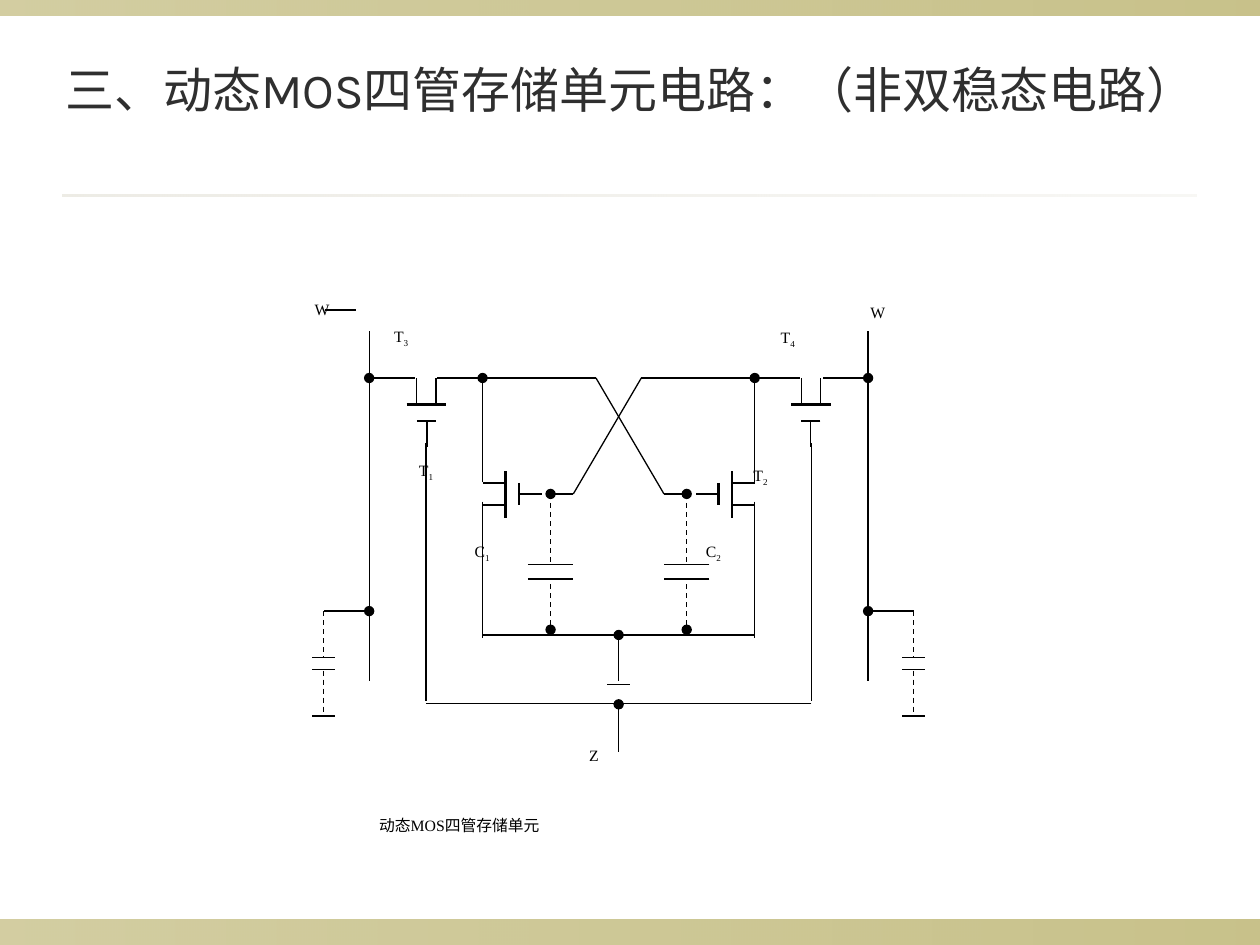
from lxml import etree
from pptx import Presentation
from pptx.dml.color import RGBColor
from pptx.enum.dml import MSO_LINE
from pptx.enum.shapes import MSO_CONNECTOR, MSO_SHAPE
from pptx.enum.text import MSO_ANCHOR, PP_ALIGN
from pptx.oxml.ns import qn
from pptx.util import Inches, Pt

STRAIGHT, RECTANGLE, DASH = MSO_CONNECTOR.STRAIGHT, MSO_SHAPE.RECTANGLE, MSO_LINE.DASH
TOP, CENTER, JUSTIFY = MSO_ANCHOR.TOP, PP_ALIGN.CENTER, PP_ALIGN.JUSTIFY

THEME = {
    "title": {"font": "Karla", "size": 28, "color": "2F2F2F"},
    "label": {"font": "Times New Roman", "size": 9, "color": "000000"},
    "wire": "000000", "thin": 0.75, "thick": 1.5, "subscript": -25000,
    "band": "918415", "rule": "DCD9CC",
}
WIDTH, HEIGHT = 10, 7.5

# Circuit grid: columns count from the axis of symmetry, rows from the top wire
AXIS, TOP_WIRE = 4.91, 3
COLUMN, ROW = 0.09, 0.37 / 4

# Content
TITLE = "三、动态MOS四管存储单元电路：（非双稳态电路）"
# left, top, width, height, colour key, opacity at both ends
BANDS = [
    (0, 7.3, WIDTH, 0.2, "band", (40, 50)),
    (0, 0, WIDTH, 0.12, "band", (40, 50)),
    (0.5, 1.54, 9, 0.02, "rule", (50, 20)),
]
# column, row, letter, subscript, width and height in cells
LABELS = [
    (-27.9, -7.24, "W", "", 7.9, 5),
    (21.1, -7.03, "W", "", 7.9, 5),
    (-20.9, -4.97, "T", "3", 7.9, 7),
    (13.2, -4.86, "T", "4", 7.9, 7),
    (-18.7, 6.6, "T", "1", 7.9, 7),
    (10.8, 7.03, "T", "2", 7.9, 7),
    (-13.8, 13.5, "C", "1", 7.9, 7),
    (6.6, 13.55, "C", "2", 7.9, 7),
    (-3.7, 31, "Z", "", 7.9, 5),
    (-22.2, 37, "动态MOS四管存储单元", "", 44.2, 6),
]
# Wires of the left half: start column, row, end column, row, style.
# A dot sits at the start of the wire.
HALF_WIRES = [
    # Storage transistor
    (-10, 8, -10, 12, "thick"),
    (-8.8, 9, -8.8, 10.9, "thick"),
    (-8.8, 9.95, -6.8, 9.95, ""),
    (-12, 9, -10, 9, ""),
    (-12, 10.9, -10, 10.9, ""),
    # Access transistor
    (-18.7, 2.27, -15.2, 2.27, "thick"),
    (-17.8, 3.7, -16.1, 3.7, "thick"),
    (-16.9, 3.7, -16.9, 5.95, ""),
    (-17.8, 0, -17.8, 2.27, ""),
    (-16.1, 0, -16.1, 2.27, ""),
    # Cross-coupled nodes
    (-12, 8.9, -12, 0, ""),
    (-12, 0, -16, 0, "dot"),
    (-6, 9.95, -4, 9.95, "dot"),
    (-12, 0, -2, 0, ""),
    (-4, 9.95, 2, 0, ""),
    # Gate capacitor
    (-6, 9.95, -6, 16, "dash"),
    (-8, 16, -4, 16, ""),
    (-8, 17.25, -4, 17.25, ""),
    (-6, 21.6, -6, 17.6, "dash dot"),
    # Common source
    (-12, 10.6, -12, 22.3, ""),
    (-12, 22.05, -2, 22.05, ""),
    # Bit line and its capacitor
    (-22, 0, -18, 0, "dot"),
    (-22, -4, -22, 26, ""),
    (-22, 20, -26, 20, "dot"),
    (-26, 20, -26, 24, "dash"),
    (-27, 24, -25, 24, ""),
    (-27, 25, -25, 25, ""),
    (-26, 25.1, -26, 29.1, "dash"),
    (-27, 29, -25, 29, ""),
    # Word line
    (-17, 5.6, -17, 27.7, ""),
    (-17, 27.9, -1, 27.9, ""),
]
CENTRE_WIRES = [
    (-2, 22.05, 2, 22.05, ""),
    (-2, 27.9, 2, 27.9, ""),
    (0, 22.05, 0, 26, "dot"),
    (-1, 26.3, 1, 26.3, ""),
    (0, 28, 0, 32.1, "dot"),
    (-25.9, -5.84, -23.2, -5.84, ""),
]


def color(value):
    return RGBColor.from_string(value)


def grid_point(column, row):
    return Inches(AXIS + column * COLUMN), Inches(TOP_WIRE + row * ROW)


def add_band(shapes, left, top, width, height, color_key, opacities):
    shape = shapes.add_shape(RECTANGLE, *map(Inches, (left, top, width, height)))
    shape.shadow.inherit = False
    shape.line.fill.background()
    shape.fill.gradient()
    shape.fill.gradient_angle = 0
    for stop in shape.fill.gradient_stops:
        stop.color.rgb = color(THEME[color_key])
    properties = shape._element.spPr
    for element, opacity in zip(properties.iter(qn("a:srgbClr")), opacities):
        etree.SubElement(element, qn("a:alpha")).set("val", str(opacity * 1000))


def add_wire(shapes, start_column, start_row, end_column, end_row, style):
    wire = shapes.add_connector(STRAIGHT, *grid_point(start_column, start_row),
                                *grid_point(end_column, end_row))
    wire.line.color.rgb = color(THEME["wire"])
    wire.line.width = Pt(THEME["thick" if "thick" in style else "thin"])
    if "dash" in style:
        wire.line.dash_style = DASH
    properties = wire._element.spPr
    if "dot" in style:
        etree.SubElement(properties.find(qn("a:ln")), qn("a:headEnd")).set("type", "oval")
    etree.SubElement(properties, qn("a:effectLst"))


def add_text(shapes, box, runs, style, alignment, top_inset=0.05):
    frame = shapes.add_textbox(*box).text_frame
    frame.word_wrap = True
    frame.vertical_anchor = TOP
    frame.margin_top = Inches(top_inset)
    paragraph = frame.paragraphs[0]
    paragraph.alignment = alignment
    for text, baseline in runs:
        run = paragraph.add_run()
        run.text = text
        run.font.name = style["font"]
        run.font.size = Pt(style["size"])
        run.font.color.rgb = color(style["color"])
        if baseline:
            run.font._element.set("baseline", str(baseline))


def main():
    presentation = Presentation()
    presentation.slide_width, presentation.slide_height = Inches(WIDTH), Inches(HEIGHT)
    slide = presentation.slides.add_slide(presentation.slide_layouts[6])

    # Bands, rule and title
    for band in BANDS:
        add_band(slide.shapes, *band)
    title_box = [Inches(value) for value in (0.2, 0.3, 9.61, 6.99)]
    add_text(slide.shapes, title_box, [(TITLE, 0)], THEME["title"], CENTER, 0.17)

    # Circuit: the left half, its mirror image, then the centre
    circuit = slide.shapes.add_group_shape().shapes
    for side in (1, -1):
        for start_column, start_row, end_column, end_row, style in HALF_WIRES:
            add_wire(circuit, side * start_column, start_row,
                     side * end_column, end_row, style)
    for wire in CENTRE_WIRES:
        add_wire(circuit, *wire)

    # Labels and caption
    for column, row, text, subscript, columns, rows in LABELS:
        box = (*grid_point(column, row), Inches(columns * COLUMN), Inches(rows * ROW))
        runs = [(text, 0)]
        if subscript:
            runs.append((subscript, THEME["subscript"]))
        add_text(circuit, box, runs, THEME["label"], JUSTIFY)

    presentation.save("out.pptx")


if __name__ == "__main__":
    main()
